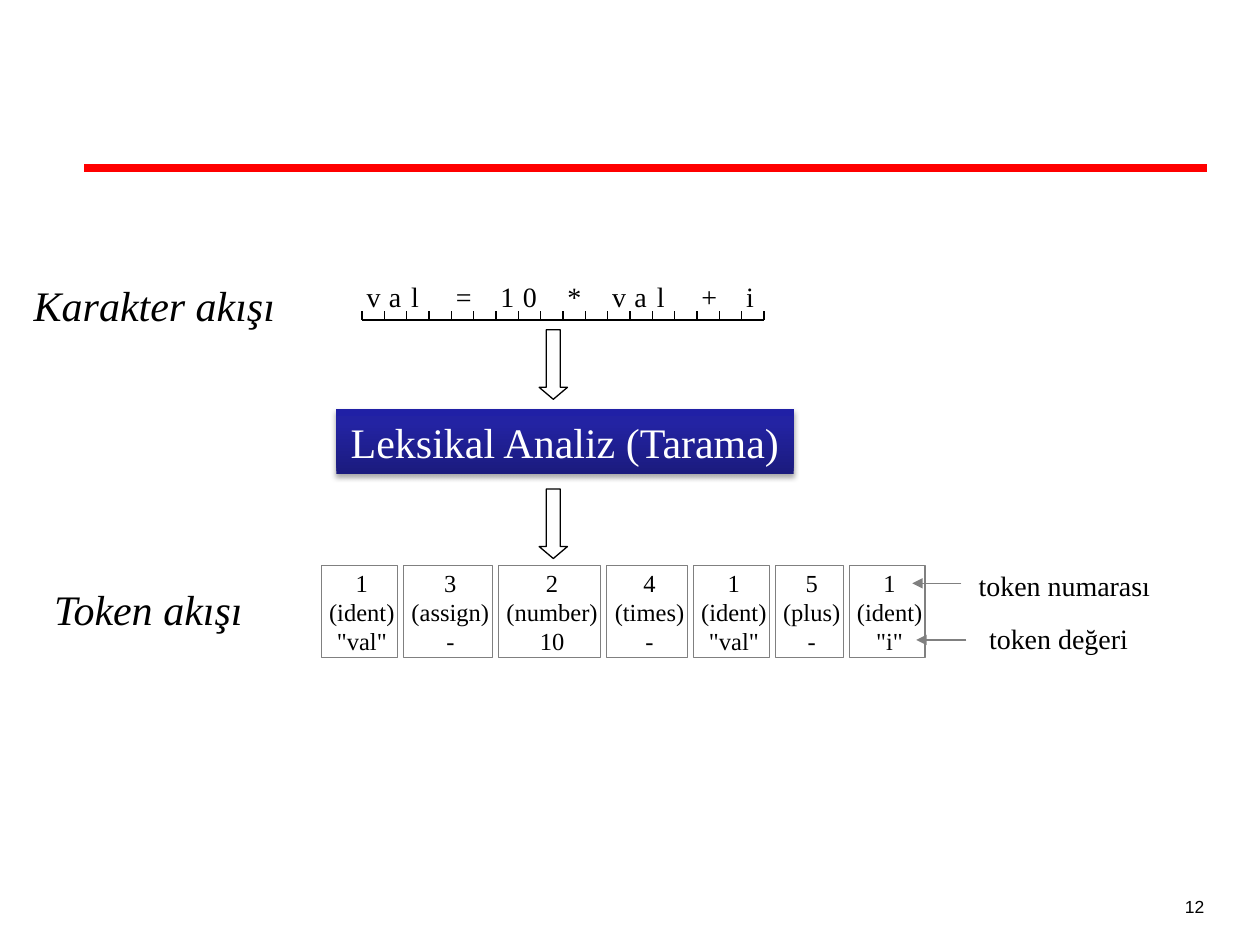
from copy import deepcopy
from dataclasses import dataclass

from lxml import etree
from pptx import Presentation
from pptx import util as u
from pptx.dml.color import RGBColor
from pptx.enum import shapes, text
from pptx.oxml.ns import qn


@dataclass(frozen=True)
class Theme:
    serif: str = "Times New Roman"
    sans: str = "Arial"
    ink: str = "000000"
    paper: str = "FFFFFF"
    rule: str = "FF0000"
    outline: str = "808080"
    gradient: tuple = ((0, "1B1B7E"), (0.8, "2323A3"), (1, "2020A6"))
    heading: int = 24
    label: int = 16
    token: int = 14
    footer: int = 10
    thin: float = 0.75
    thick: float = 4.5


TEXT_INSETS = (0.25, 0.13, 0.25, 0.13)
TOKEN_INSETS = (0.15, 0.03, 0.05, 0.03)


class SlideBuilder:
    def __init__(self, slide, theme):
        self.slide = slide
        self.theme = theme

    def fill_text(self, shape, lines, size, color=None, font=None, italic=False,
                  align=text.PP_ALIGN.LEFT, insets=TEXT_INSETS):
        frame = shape.text_frame
        frame.word_wrap = False
        frame.auto_size = text.MSO_AUTO_SIZE.SHAPE_TO_FIT_TEXT
        (frame.margin_left, frame.margin_top,
         frame.margin_right, frame.margin_bottom) = map(u.Cm, insets)
        frame.text = "\n".join(lines)
        for paragraph in frame.paragraphs:
            paragraph.alignment = align
            paragraph.font.name = font or self.theme.serif
            paragraph.font.size = u.Pt(size)
            paragraph.font.italic = italic
            paragraph.font.color.rgb = RGBColor.from_string(color or self.theme.ink)

    def text(self, box, content, size, **style):
        shape = self.slide.shapes.add_textbox(*map(u.Cm, box))
        self.fill_text(shape, [content], size, **style)
        return shape

    def line(self, start, end, color=None, width=None, arrow=False):
        connector = self.slide.shapes.add_connector(
            shapes.MSO_CONNECTOR.STRAIGHT, *map(u.Cm, start + end))
        connector.line.color.rgb = RGBColor.from_string(color or self.theme.ink)
        connector.line.width = u.Pt(width or self.theme.thin)
        properties = connector._element.spPr
        if arrow:
            etree.SubElement(properties.find(qn("a:ln")), qn("a:tailEnd"), type="triangle")
        etree.SubElement(properties, qn("a:effectLst"))

    def outlined(self, kind, box, color):
        shape = self.slide.shapes.add_shape(kind, *map(u.Cm, box))
        shape.shadow.inherit = False
        shape.fill.background()
        shape.line.color.rgb = RGBColor.from_string(color)
        shape.line.width = u.Pt(self.theme.thin)
        return shape

    def down_arrow(self, box):
        arrow = self.outlined(shapes.MSO_SHAPE.DOWN_ARROW, box, self.theme.ink)
        arrow.adjustments[0] = 0.5
        arrow.adjustments[1] = 0.422

    def token(self, box, lines):
        shape = self.outlined(shapes.MSO_SHAPE.RECTANGLE, box, self.theme.outline)
        self.fill_text(shape, lines, self.theme.token,
                       align=text.PP_ALIGN.CENTER, insets=TOKEN_INSETS)

    def stage(self, box, content):
        """Add a processing step: a gradient box with a soft shadow."""
        shape = self.slide.shapes.add_shape(shapes.MSO_SHAPE.RECTANGLE, *map(u.Cm, box))
        shape.line.fill.background()
        shape.fill.gradient()
        shape.fill.gradient_angle = 90
        properties = shape._element.spPr
        stop_list = properties.find(".//" + qn("a:gsLst"))
        stop_list.append(deepcopy(stop_list[-1]))
        for stop, (position, color) in zip(shape.fill.gradient_stops, self.theme.gradient):
            stop.position = position
            stop.color.rgb = RGBColor.from_string(color)
        shape.shadow.inherit = False
        shadow = etree.SubElement(
            properties.find(qn("a:effectLst")), qn("a:outerShdw"),
            blurRad=str(u.Pt(3.1)), dist=str(u.Pt(1.8)), dir="5400000", rotWithShape="0")
        shade = etree.SubElement(shadow, qn("a:srgbClr"), val=self.theme.ink)
        etree.SubElement(shade, qn("a:alpha"), val="35000")
        self.fill_text(shape, [content], self.theme.heading, color=self.theme.paper,
                       align=text.PP_ALIGN.CENTER)

    def character_ruler(self, left, baseline, pitch, source):
        """Set each character of the source in its own cell above a ticked line."""
        narrow_or_wide = {"l": 0.16, "i": 0.16, "=": 0.32, "+": 0.32}
        self.line((left, baseline), (left + pitch * len(source), baseline))
        for index in range(len(source) + 1):
            x = left + pitch * index
            self.line((x, baseline), (x, baseline - 0.18))
        for index, character in enumerate(source):
            if character != " ":
                box = (left + pitch * index + 0.09, baseline - 0.81,
                       narrow_or_wide.get(character, 0.28), 0.68)
                self.text(box, character, self.theme.label, insets=(0, 0, 0, 0))

    def token_row(self, left, top, height, gap, tokens):
        for width, *lines in tokens:
            self.token((left, top, width, height), lines)
            left += width + gap


def main():
    theme = Theme()
    presentation = Presentation()
    presentation.slide_width = u.Cm(25.4)
    presentation.slide_height = u.Cm(19.05)
    slide = presentation.slides.add_slide(presentation.slide_layouts[6])
    builder = SlideBuilder(slide, theme)

    builder.line((1.7, 4.24), (1.7, 4.24))
    builder.line((1.7, 3.39), (24.34, 3.39), theme.rule, theme.thick)

    builder.text((0.43, 5.51, 5.41, 1.3), "Karakter akışı", theme.heading, italic=True)
    builder.character_ruler(7.3, 6.45, 0.45, "val = 10 * val + i")
    builder.stage((6.78, 8.25, 9.22, 1.3), "Leksikal Analiz (Tarama)")
    for top in (6.65, 9.86):
        builder.down_arrow((10.87, top, 0.57, 1.4))

    builder.text((0.84, 11.63, 4.34, 1.3), "Token akışı", theme.heading, italic=True)
    builder.token_row(6.48, 11.4, 1.86, 0.12, [
        (1.53, "1", "(ident)", '"val"'),
        (1.8, "3", "(assign)", "-"),
        (2.06, "2", "(number)", "10"),
        (1.63, "4", "(times)", "-"),
        (1.53, "1", "(ident)", '"val"'),
        (1.37, "5", "(plus)", "-"),
        (1.53, "1", "(ident)", '"i"'),
    ])

    for start, end, box, label in [
        ((19.38, 11.76), (18.39, 11.76), (19.48, 11.33, 4.01, 0.94), "token numarası"),
        ((19.48, 12.9), (18.47, 12.9), (19.69, 12.4, 3.35, 0.94), "token değeri"),
    ]:
        builder.line(start, end, theme.outline, arrow=True)
        builder.text(box, label, theme.label)

    number = builder.text((19.25, 17.35, 5.28, 1.27), "12", theme.footer,
                          font=theme.sans, align=text.PP_ALIGN.RIGHT)
    number.text_frame.word_wrap = True
    number.text_frame.auto_size = text.MSO_AUTO_SIZE.NONE
    number.text_frame.vertical_anchor = text.MSO_ANCHOR.BOTTOM

    presentation.save("out.pptx")


if __name__ == "__main__":
    main()
